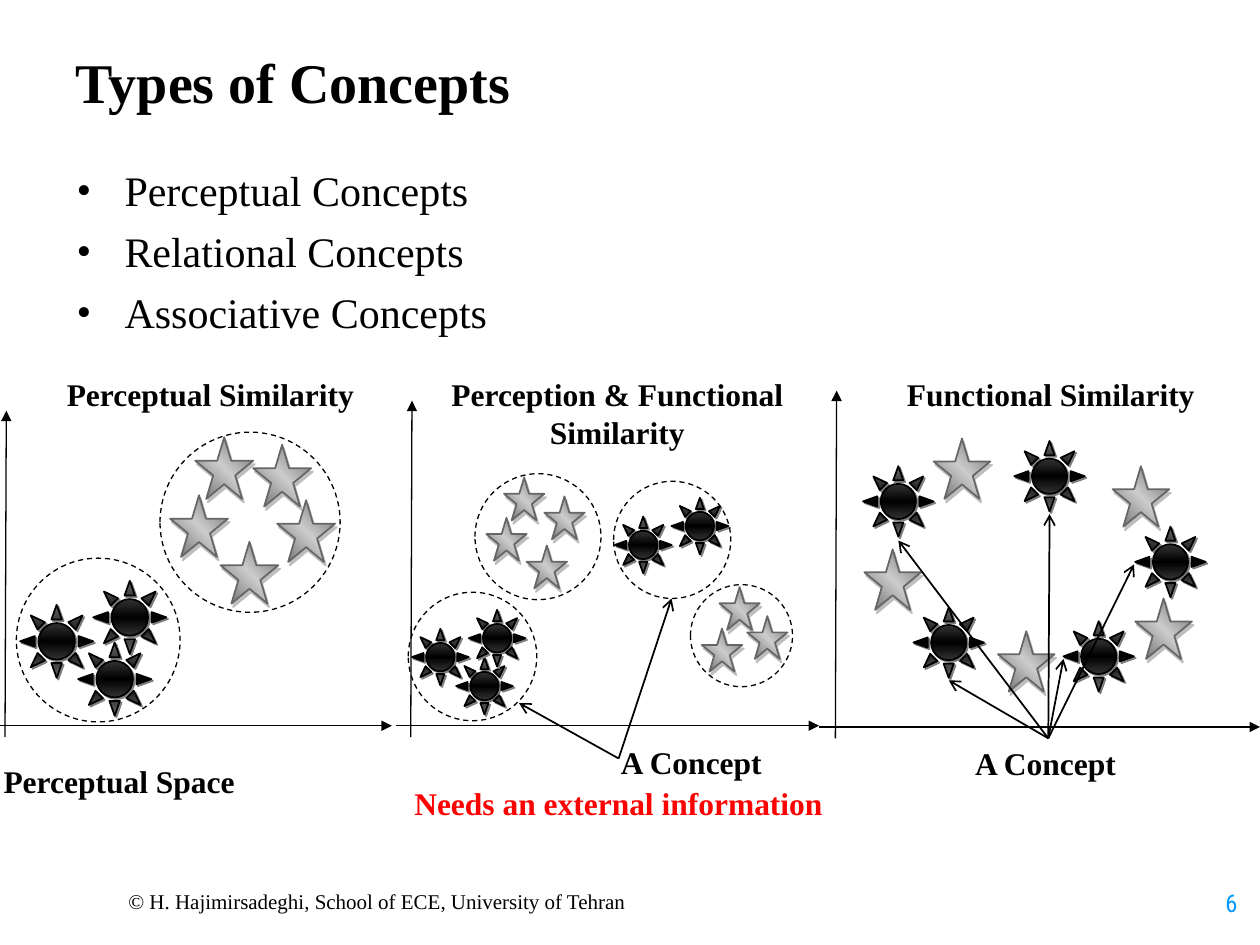
from copy import deepcopy

from pptx import Presentation
from pptx.dml.color import RGBColor
from pptx.enum.dml import MSO_LINE_DASH_STYLE as DASH
from pptx.enum.shapes import MSO_CONNECTOR, MSO_SHAPE
from pptx.enum.text import MSO_ANCHOR, MSO_AUTO_SIZE, PP_ALIGN
from pptx.oxml.ns import qn
from pptx.oxml.xmlchemy import OxmlElement
from pptx.util import Inches, Pt

BLACK = RGBColor(0x00, 0x00, 0x00)
RED = RGBColor(0xFF, 0x00, 0x00)
BLUE = RGBColor(0x00, 0x99, 0xFF)
GRAY = RGBColor(0x66, 0x66, 0x66)
SILVER = RGBColor(0xCC, 0xCC, 0xCC)
SHADOW = "7F7F7F"
SERIF = "Times New Roman"
NUMBER_FONT = "Roboto Condensed"

# Five-pointed star in a unit square
STAR = [(0, 0.38), (0.38, 0.38), (0.5, 0), (0.62, 0.38), (1, 0.38),
        (0.69, 0.62), (0.81, 1), (0.5, 0.76), (0.19, 1), (0.31, 0.62)]


def add_xml(parent, tag, **attrs):
    child = OxmlElement(tag)
    for name, value in attrs.items():
        child.set(name, str(value))
    parent.append(child)
    return child


class SlideBuilder:
    def __init__(self, slide):
        self.slide = slide
        self.shapes = slide.shapes

    def format_runs(self, tf, size, color=BLACK, bold=False, font=SERIF,
                    align=PP_ALIGN.LEFT):
        for p in tf.paragraphs:
            p.alignment = align
            for r in p.runs:
                r.font.name, r.font.size, r.font.bold = font, Pt(size), bold
                r.font.color.rgb = color

    def title(self, text, x, y, w, h):
        sp = self.shapes.title
        sp.left, sp.top, sp.width, sp.height = map(Inches, (x, y, w, h))
        tf = sp.text_frame
        tf.text = text
        tf.auto_size = MSO_AUTO_SIZE.NONE
        tf.vertical_anchor = MSO_ANCHOR.MIDDLE
        self.format_runs(tf, 32, bold=True)

    def text(self, text, x, y, w, h, size=18, wrap=False, **style):
        tf = self.shapes.add_textbox(*map(Inches, (x, y, w, h))).text_frame
        tf.text = text
        tf.word_wrap = wrap
        if not wrap:
            tf.auto_size = MSO_AUTO_SIZE.SHAPE_TO_FIT_TEXT
        self.format_runs(tf, size, **style)
        return tf

    def heading(self, text, x, w, h=0.4):
        self.text(text, x, 2.93, w, h, bold=True, align=PP_ALIGN.CENTER)

    def bullets(self, items, x, y, w, h):
        tf = self.text("\n".join(items), x, y, w, h, size=24, wrap=True)
        for i, p in enumerate(tf.paragraphs):
            pPr = p._p.get_or_add_pPr()
            pPr.set("marL", str(Inches(0.38)))
            pPr.set("indent", str(-Inches(0.38)))
            add_xml(pPr, "a:buFont", typeface=SERIF)
            add_xml(pPr, "a:buChar", char="•")
            if i:
                p.space_before = Pt(6)

    def line(self, start, end, width, head):
        cn = self.shapes.add_connector(
            MSO_CONNECTOR.STRAIGHT, *map(Inches, (*start, *end)))
        cn.line.color.rgb = BLACK
        cn.line.width = Pt(width)
        spPr = cn._element.spPr
        add_xml(spPr.find(qn("a:ln")), "a:tailEnd", type=head)
        add_xml(spPr, "a:effectLst")

    def axes(self, x, bottom, top, left, right):
        self.line((x, bottom), (x + 0.01, top), 0.75, "triangle")
        y = bottom - 0.09
        self.line((left, y), (right, y), 0.75, "triangle")

    def arrows(self, start, ends):
        for end in ends:
            self.line(start, end, 1, "arrow")

    def shade(self, sp, edge, middle, angle, line, dist, direction, opacity):
        """Mirrored gradient, thin outline and a hard shadow."""
        sp.fill.gradient()
        sp.fill.gradient_angle = angle
        first, second = sp.fill.gradient_stops
        first.color.rgb, second.color.rgb = edge, middle
        first.position, second.position = 0, 0.5
        spPr = sp._element.spPr
        stops = spPr.find(".//" + qn("a:gsLst"))
        last = deepcopy(stops[0])
        last.set("pos", "100000")
        stops.append(last)
        sp.line.color.rgb = line
        sp.line.width = Pt(1)
        sp.shadow.inherit = False
        shadow = add_xml(spPr.find(qn("a:effectLst")), "a:outerShdw",
                         dist=Pt(dist), dir=direction * 60000,
                         algn="ctr", rotWithShape=0)
        color = add_xml(shadow, "a:srgbClr", val=SHADOW)
        add_xml(color, "a:alpha", val=opacity * 1000)

    def stars(self, w, h, places):
        for x, y in places:
            points = [(Inches(x + w * u), Inches(y + h * v)) for u, v in STAR]
            fb = self.shapes.build_freeform(*points[0])
            fb.add_line_segments(points[1:], close=True)
            self.shade(fb.convert_to_shape(), GRAY, SILVER, 45, GRAY,
                       2.2, 64, 50)

    def suns(self, size, places):
        for x, y in places:
            sp = self.shapes.add_shape(
                MSO_SHAPE.SUN, *map(Inches, (x, y, size, size)))
            sp.adjustments[0] = 0.25
            self.shade(sp, GRAY, BLACK, 270, BLACK, 1.4, 45, 100)

    def clusters(self, circles):
        for x, y, size in circles:
            sp = self.shapes.add_shape(
                MSO_SHAPE.OVAL, *map(Inches, (x, y, size, size)))
            sp.fill.background()
            sp.line.color.rgb = BLACK
            sp.line.width = Pt(0.75)
            sp.line.dash_style = DASH.DASH
            sp.shadow.inherit = False


def main():
    prs = Presentation()
    prs.slide_width, prs.slide_height = Inches(10), Inches(7.5)
    s = SlideBuilder(prs.slides.add_slide(prs.slide_layouts[5]))

    # Footer, title and bullets
    s.text("© H. Hajimirsadeghi, School of ECE, University of Tehran",
           0.92, 7, 8.58, 0.3, size=12, wrap=True)
    s.title("Types of Concepts", 0.5, 0.35, 8.25, 0.58)
    s.bullets(["Perceptual Concepts", "Relational Concepts",
               "Associative Concepts"], 0.51, 1.26, 9.02, 1.6)
    s.text("6", 9.5, 7, 0.42, 0.33, size=14, wrap=True, color=BLUE,
           font=NUMBER_FONT, align=PP_ALIGN.RIGHT)

    # Perceptual similarity: two clusters
    s.axes(0.04, 5.85, 3.26, -0.08, 3.11)
    s.stars(0.46, 0.49, [(1.55, 3.47), (2.2, 3.97), (1.35, 3.93),
                         (1.75, 4.3), (2.01, 3.53)])
    s.suns(0.58, [(0.16, 4.8), (0.62, 5.1), (0.74, 4.61)])
    s.clusters([(1.27, 3.43, 1.43), (0.13, 4.43, 1.3)])

    # Perception and functional similarity: four clusters
    s.axes(3.26, 5.85, 3.18, 3.14, 6.5)
    s.suns(0.45, [(3.27, 4.99), (3.62, 5.22), (3.72, 4.84),
                  (4.88, 4.1), (5.33, 3.95)])
    s.stars(0.32, 0.34, [(5.71, 4.66), (5.93, 4.89), (5.57, 4.99), (4, 3.79),
                         (4.32, 3.94), (3.86, 4.11), (4.18, 4.33)])
    s.clusters([(3.24, 4.7, 1.02), (4.87, 3.82, 0.93),
                (5.48, 4.64, 0.81), (3.77, 3.76, 1)])

    # Functional similarity: mixed items
    s.axes(6.63, 5.86, 3.1, 6.5, 10)
    s.stars(0.45, 0.48, [(7.41, 3.48), (6.86, 4.36), (7.92, 5.01),
                         (9.01, 4.75), (8.83, 3.7)])
    s.suns(0.56, [(6.85, 3.7), (7.25, 4.82), (8.44, 4.93),
                  (9.01, 4.18), (8.05, 3.5)])

    # Arrows from each concept to its members
    s.arrows((4.91, 6.02), [(5.33, 4.75), (4.12, 5.58)])
    s.arrows((8.32, 5.86), [(8.33, 4.08), (7.13, 4.29), (9, 4.48),
                            (8.44, 5.23), (7.53, 5.4)])

    # Labels
    s.text("A Concept", 4.83, 5.85, 1.33, 0.4, bold=True)
    s.text("A Concept", 7.64, 5.86, 1.36, 0.4, bold=True, wrap=True)
    s.text("Perceptual Space", -0.07, 6, 2.04, 0.4, bold=True)
    s.text("Needs an external information", 3.19, 6.17, 3.44, 0.4,
           bold=True, color=RED)

    # Panel headings
    s.heading("Perceptual Similarity", 0.42, 2.5)
    s.heading("Perception & Functional\nSimilarity", 3.48, 2.84, 0.7)
    s.heading("Functional Similarity", 7.08, 2.52)

    prs.save("out.pptx")


if __name__ == "__main__":
    main()
